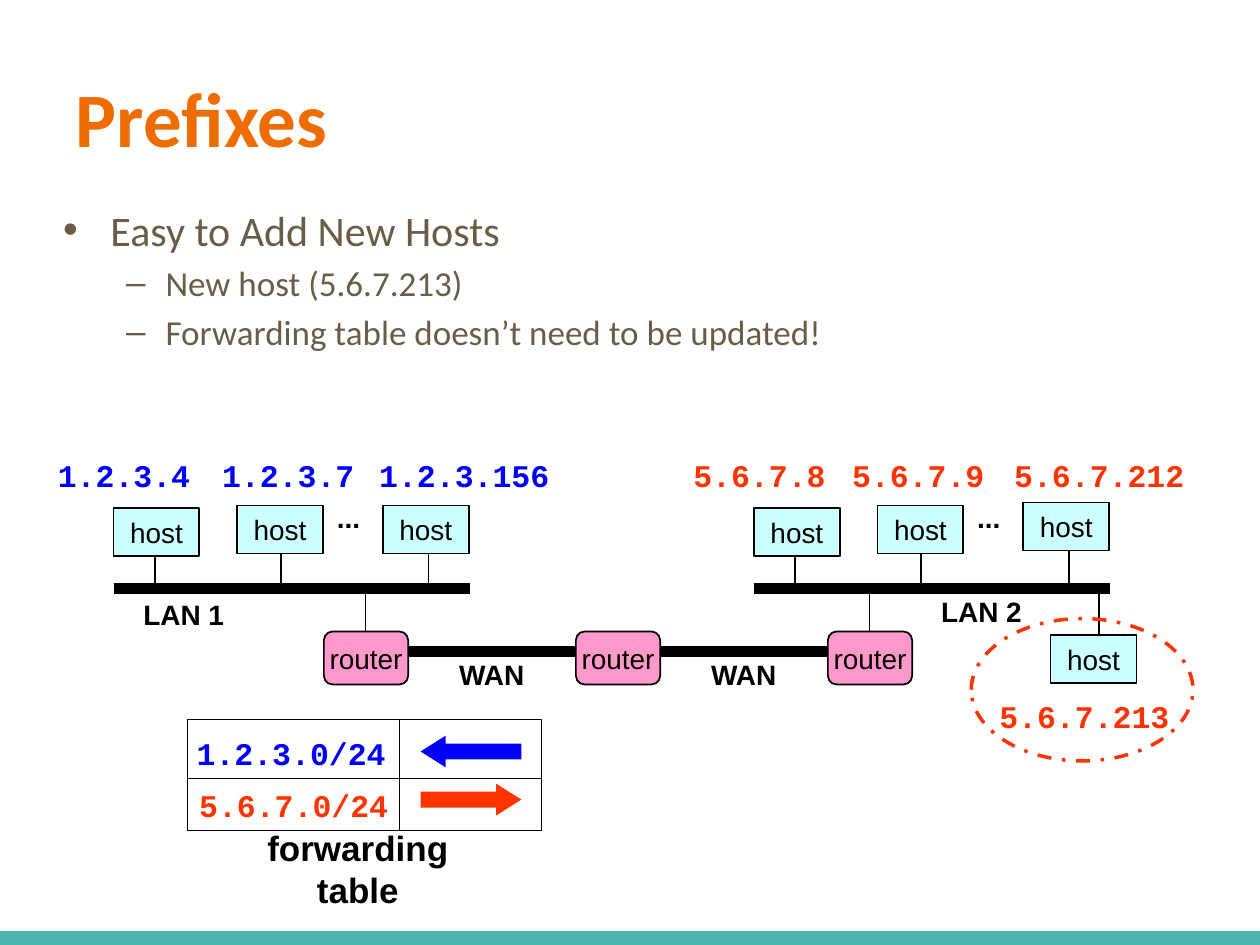
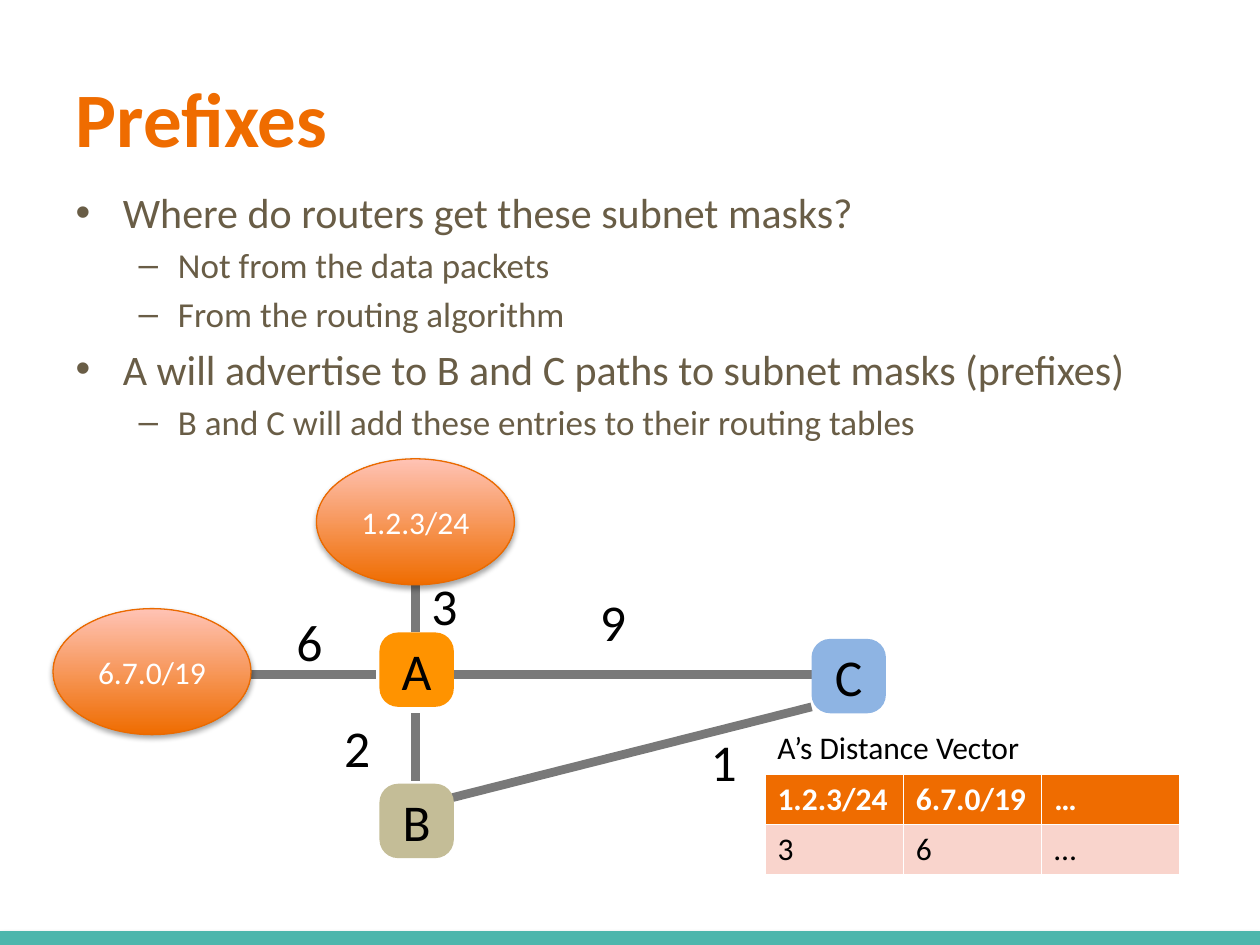
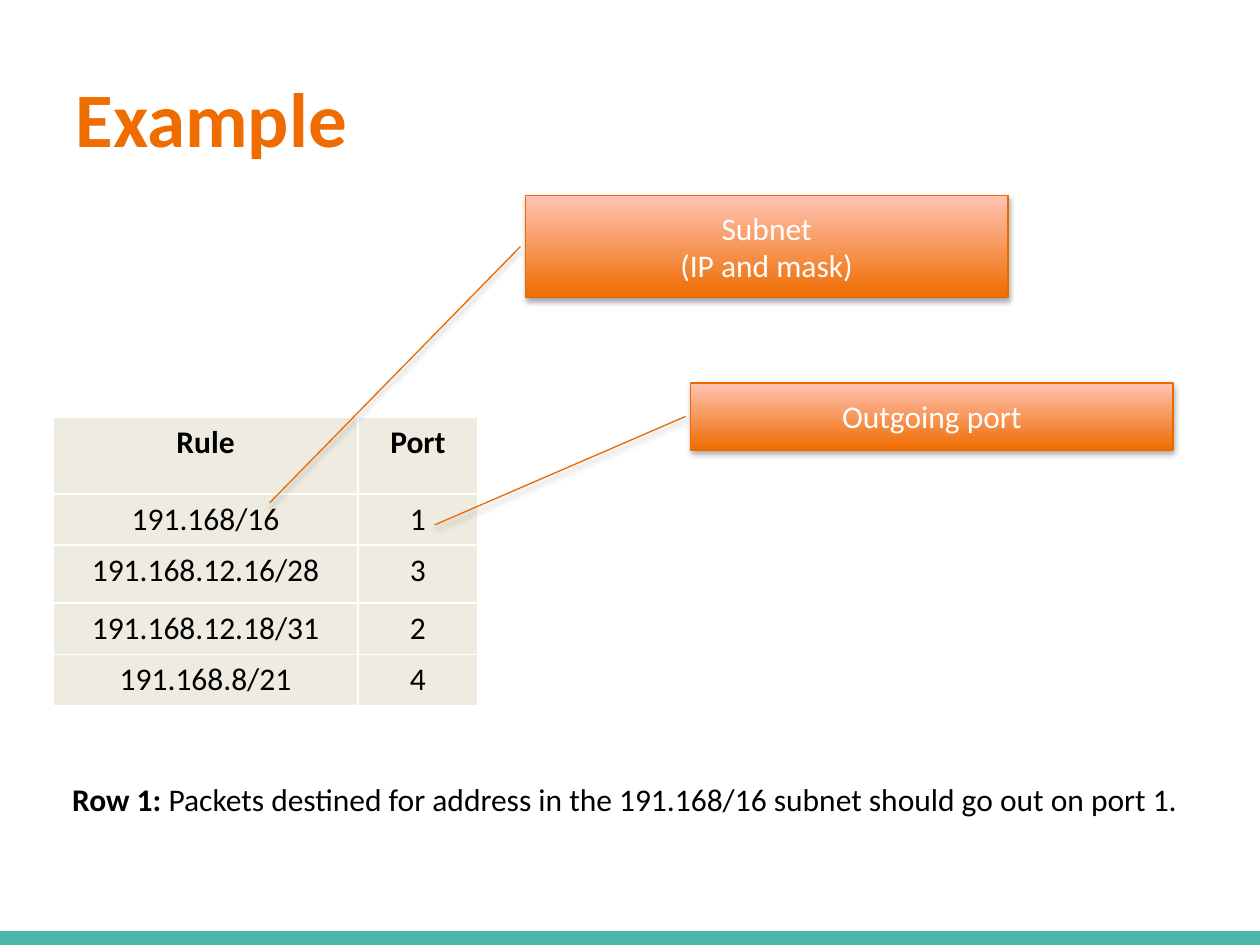
"""Builds three slides on network prefixes and forwarding tables."""
import lxml.etree
import pptx
import pptx.dml.color
import pptx.enum.dml
import pptx.enum.shapes
import pptx.enum.text
import pptx.oxml.ns
import pptx.util

Cm = pptx.util.Cm
Pt = pptx.util.Pt
KIND = pptx.enum.shapes.MSO_SHAPE
WIRE = pptx.enum.shapes.MSO_CONNECTOR.STRAIGHT
ALIGN = pptx.enum.text.PP_ALIGN
MIDDLE = pptx.enum.text.MSO_ANCHOR.MIDDLE
ink = pptx.dml.color.RGBColor.from_string

BLACK, WHITE, GREY = "000000", "FFFFFF", "797979"
ORANGE, BROWN, TEAL = "EF6C00", "695D46", "4DB6AC"
BLUE, RED, AQUA, PINK = "0000FF", "FF3300", "CCFFFF", "FF99CC"
GLOW = {"fill": (ORANGE, "FFC3B5"), "edge": "EA6A00", "thick": 0.75, "hue": WHITE}
ARIAL = {"font": "Arial", "size": 16}
MONO = {"font": "Courier New", "bold": True}


def write(para, words, size=18, hue=BLACK, bold=False, font="Calibri", align=ALIGN.CENTER):
    """Fills a paragraph; after a bar the text is no longer bold."""
    para.alignment = align
    for place, piece in enumerate(words.split("|")):
        run = para.add_run()
        run.text = piece
        run.font.name = font
        run.font.size = Pt(size)
        run.font.bold = bold and place == 0
        run.font.color.rgb = ink(hue)


def draw(slide, kind, box, words="", fill=None, edge=None, thick=1, inset=None, **style):
    """Adds a shape, or a text box if there is no kind, with its text."""
    area = [Cm(n) for n in box]
    if kind is None:
        shape = slide.shapes.add_textbox(*area)
    else:
        shape = slide.shapes.add_shape(kind, *area)
    if isinstance(fill, tuple):
        shape.fill.gradient()
        shape.fill.gradient_angle = 90
        for stop, hue in zip(shape.fill.gradient_stops, fill):
            stop.color.rgb = ink(hue)
    else:
        shape.shadow.inherit = False
        if fill:
            shape.fill.solid()
            shape.fill.fore_color.rgb = ink(fill)
        else:
            shape.fill.background()
    if edge:
        shape.line.color.rgb = ink(edge)
        shape.line.width = Pt(thick)
    else:
        shape.line.fill.background()
    frame = shape.text_frame
    frame.word_wrap = False
    frame.vertical_anchor = MIDDLE
    if inset is not None:
        frame.margin_left = frame.margin_right = Cm(inset)
        frame.margin_top = frame.margin_bottom = Cm(inset)
    if words:
        for place, line in enumerate(words.split("\n")):
            para = frame.add_paragraph() if place else frame.paragraphs[0]
            write(para, line, **style)
    return shape


deck = pptx.Presentation()
deck.slide_width, deck.slide_height = Cm(25.4), Cm(19.05)

pages = [
    ("Prefixes", (1.02, 3.99, 22.86, 12.24), [
        (0, "Easy to Add New Hosts"),
        (1, "New host (5.6.7.213)"),
        (1, "Forwarding table doesn’t need to be updated!")]),
    ("Prefixes", (1.27, 3.63, 22.86, 6.71), [
        (0, "Where do routers get these subnet masks?"),
        (1, "Not from the data packets"),
        (1, "From the routing algorithm"),
        (0, "A will advertise to B and C paths to subnet masks (prefixes)"),
        (1, "B and C will add these entries to their routing tables")]),
    ("Example", None, []),
]
for head, box, items in pages:
    slide = deck.slides.add_slide(deck.slide_layouts[1 if items else 5])
    title = slide.shapes.title
    title.left, title.top, title.width, title.height = Cm(1.27), Cm(0.76), Cm(22.86), Cm(3.18)
    title.text_frame.vertical_anchor = MIDDLE
    write(title.text_frame.paragraphs[0], head, 44, ORANGE, True, align=ALIGN.LEFT)
    if items:
        body = slide.placeholders[1]
        body.left, body.top, body.width, body.height = [Cm(n) for n in box]
        frame = body.text_frame
        frame.auto_size = pptx.enum.text.MSO_AUTO_SIZE.NONE
        for place, (level, words) in enumerate(items):
            para = frame.add_paragraph() if place else frame.paragraphs[0]
            para.level = level
            write(para, words, 20 if level else 24, BROWN, align=ALIGN.LEFT)
        frame.paragraphs[0].space_before = Pt(0)
lan, graph, rules = deck.slides

band = lan.shapes.add_connector(WIRE, 0, Cm(18.95), Cm(25.4), Cm(18.95))
band.line.color.rgb = ink(TEAL)
band.line.width = Pt(10)
deck.slide_master.shapes.element.append(band.element)

SHIFT, HOP = 12.91, 5.08
wires = [
    (lan, BLACK, 0.75, 8.05, 14.5, 8.05, 16.74),
    (lan, BLACK, 0.75, 3.78, 15.69, 10.92, 15.69),
    (lan, BLACK, 1, 22.15, 11.94, 22.15, 12.8),
    (graph, GREY, 5, 8.38, 14.38, 8.38, 15.75),
    (graph, GREY, 5, 9.12, 13.59, 16.36, 13.59),
    (graph, GREY, 5, 9.12, 16.08, 16.36, 14.25),
    (graph, GREY, 5, 8.38, 12.75, 8.38, 11.79),
    (graph, GREY, 5, 7.57, 13.59, 5.05, 13.59),
]
for side in range(2):
    move = side * SHIFT
    wires.append((lan, BLACK, 6, 2.29 + move, 11.86, 9.47 + move, 11.86))
    for x in (3.12, 5.66, 8.64):
        wires.append((lan, BLACK, 1, x + move, 11.02, x + move, 11.86))
    x = 7.37 + side * 2 * HOP
    wires.append((lan, BLACK, 1, x, 11.86, x, 12.73))
    x = 8.2 + side * HOP
    wires.append((lan, BLACK, 6, x, 13.13, x + 3.41, 13.13))
for slide, hue, thick, *ends in wires:
    wire = slide.shapes.add_connector(WIRE, *[Cm(n) for n in ends])
    wire.line.color.rgb = ink(hue)
    wire.line.width = Pt(thick)
    lxml.etree.SubElement(wire.element.spPr, pptx.oxml.ns.qn("a:effectLst"))

hosts = [(21.18, 12.8)]
for side, tops in enumerate([(10.24, 10.19, 10.19), (10.24, 10.19, 10.13)]):
    hosts += [(x + side * SHIFT, y) for x, y in zip((2.29, 4.78, 7.72), tops)]
    draw(lan, None, (6.53 + side * SHIFT, 9.96, 0.99, 0.94), "...", bold=True, **ARIAL)
    draw(lan, None, (8.99 + side * HOP, 13.13, 1.85, 0.94), "WAN", bold=True, **ARIAL)
for x, y in hosts:
    draw(lan, KIND.RECTANGLE, (x, y, 1.73, 0.97), "host", AQUA, BLACK, **ARIAL)
for step in range(3):
    box = (6.53 + step * HOP, 12.73, 1.7, 1.07)
    draw(lan, KIND.ROUNDED_RECTANGLE, box, "router", PINK, BLACK, **ARIAL)
draw(lan, None, (2.64, 11.91, 2.13, 0.94), "LAN 1", bold=True, **ARIAL)
draw(lan, None, (18.72, 11.86, 2.13, 0.94), "LAN 2", bold=True, **ARIAL)

for words, hue, x, y, width in [
    ("1.2.3.4", BLUE, 0.91, 9.07, 3.18),
    ("1.2.3.7", BLUE, 4.22, 9.07, 3.18),
    ("1.2.3.156", BLUE, 7.39, 9.07, 3.94),
    ("5.6.7.8", RED, 13.72, 9.07, 3.18),
    ("5.6.7.9", RED, 16.92, 9.07, 3.18),
    ("5.6.7.212", RED, 20.19, 9.07, 3.94),
    ("5.6.7.213", RED, 19.89, 13.92, 3.94),
    ("1.2.3.0/24", BLUE, 3.71, 14.66, 4.32),
    ("5.6.7.0/24", RED, 3.76, 15.72, 4.32),
]:
    draw(lan, None, (x, y, width, 1.02), words, hue=hue, **MONO)

draw(lan, KIND.RECTANGLE, (3.78, 14.5, 7.14, 2.24), edge=BLACK, thick=0.75)
for kind, y, hue in [(KIND.LEFT_ARROW, 14.83, BLUE), (KIND.RIGHT_ARROW, 15.8, RED)]:
    arrow = draw(lan, kind, (8.48, y, 2.03, 0.64), fill=hue)
    arrow.adjustments[1] = 0.79
draw(lan, None, (4.22, 16.97, 5.99, 1.09), "forwarding table", font="Arial", size=20, bold=True)
ring = draw(lan, KIND.OVAL, (19.58, 12.47, 4.47, 2.87), edge=RED, thick=2)
ring.line.dash_style = pptx.enum.dml.MSO_LINE.DASH_DOT

for words, fill, x, y in [
    ("A", "FF9300", 7.65, 12.75),
    ("B", "C4BD97", 7.65, 15.8),
    ("C", "8EB4E3", 16.36, 12.88),
]:
    node = draw(graph, KIND.ROUNDED_RECTANGLE, (x, y, 1.5, 1.5), words, fill, inset=0, size=29.5)
    node.adjustments[0] = 0.25
for words, x, y in [
    ("2", 6.83, 14.33), ("9", 11.99, 11.79), ("1", 14.22, 14.61),
    ("3", 8.59, 11.46), ("6", 5.87, 12.19),
]:
    draw(graph, None, (x, y, 0.74, 1.47), words, inset=0.1, size=29.5)
for words, x, y in [("1.2.3/24", 6.38, 9.25), ("6.7.0/19", 1.07, 12.27)]:
    draw(graph, KIND.OVAL, (x, y, 3.99, 2.54), words, **GLOW)
label = draw(graph, None, (15.42, 14.55, 8.36, 1.02), "A’s Distance Vector", align=ALIGN.LEFT)
label.text_frame.word_wrap = True

grids = [
    (graph, 15.42, 15.6, (2.79, 2.79, 2.79), (1.02, 1.02), ALIGN.LEFT,
     (ORANGE, "F9D4CC"), WHITE,
     [("1.2.3/24", "6.7.0/19", "…"), ("3", "6", "…")]),
    (rules, 1.07, 8.41, (6.15, 2.41), (1.55, 1.02, 1.17, 1.02, 1.02), ALIGN.CENTER,
     ("EEECE1", "EEECE1"), BLACK,
     [("Rule", "Port"), ("191.168/16", "1"), ("191.168.12.16/28", "3"),
      ("191.168.12.18/31", "2"), ("191.168.8/21", "4")]),
]
for slide, x, y, wide, high, align, fills, top, data in grids:
    area = [Cm(n) for n in (x, y, sum(wide), sum(high))]
    table = slide.shapes.add_table(len(high), len(wide), *area).table
    for col, width in zip(table.columns, wide):
        col.width = Cm(width)
    for place, (row, height) in enumerate(zip(table.rows, high)):
        row.height = Cm(height)
        first = place == 0
        for cell, words in zip(row.cells, data[place]):
            cell.fill.solid()
            cell.fill.fore_color.rgb = ink(fills[0 if first else 1])
            para = cell.text_frame.paragraphs[0]
            write(para, words, hue=top if first else BLACK, bold=first, align=align)

for words, box, bends in [
    ("Subnet\n(IP and mask)", (10.59, 3.94, 9.73, 2.06), (0.5, -0.005, 3.01, -0.525)),
    ("Outgoing port", (13.92, 7.72, 9.73, 1.35), (0.5, -0.005, 2.12, -0.529)),
]:
    call = draw(rules, KIND.LINE_CALLOUT_1, box, words, **GLOW)
    for place, bend in enumerate(bends):
        call.adjustments[place] = round(bend, 2)
note = "Row 1: |Packets destined for address in the 191.168/16 subnet should go out on port 1."
draw(rules, None, (1.07, 15.6, 23.06, 1.02), note, bold=True).text_frame.word_wrap = True

deck.save("out.pptx")
